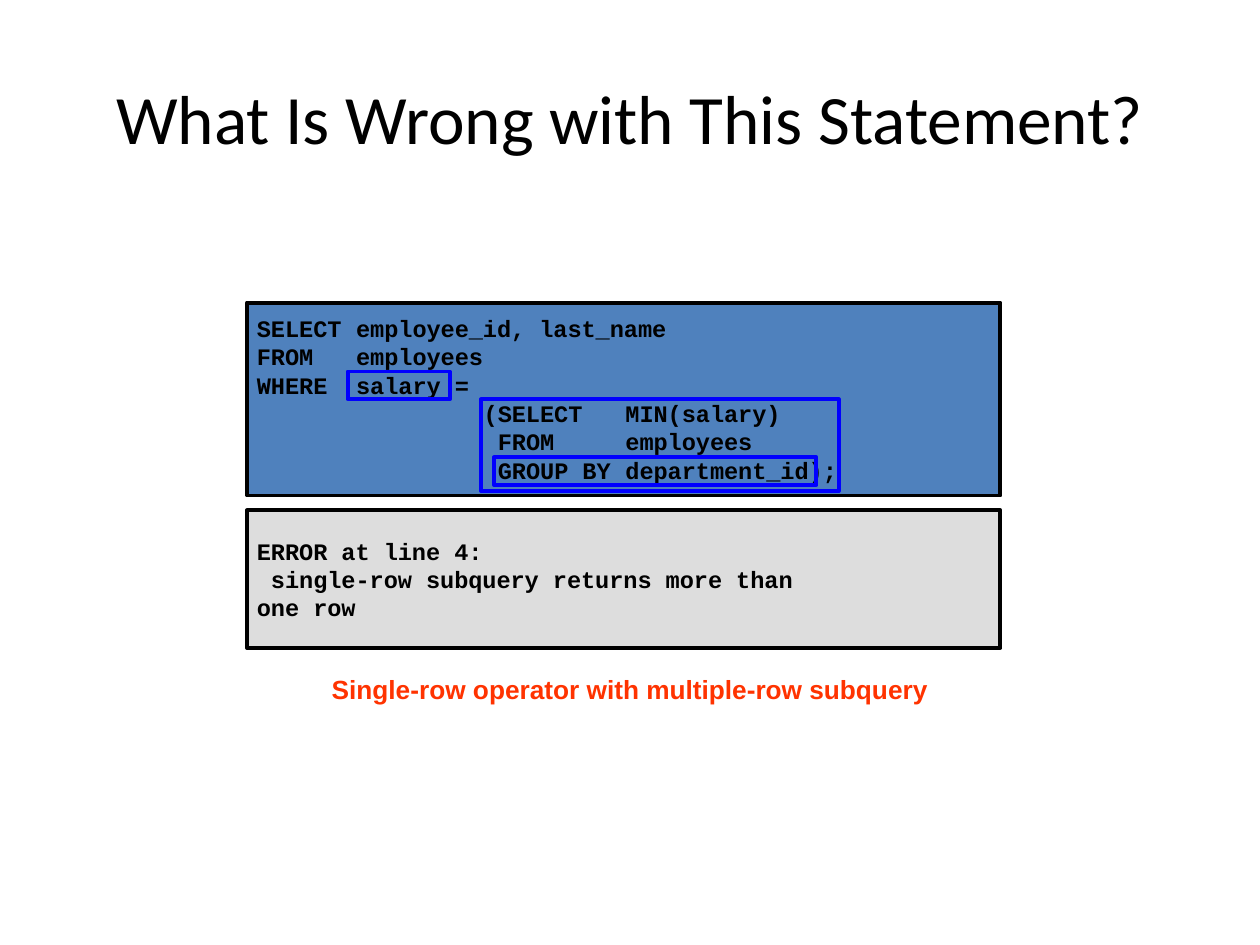
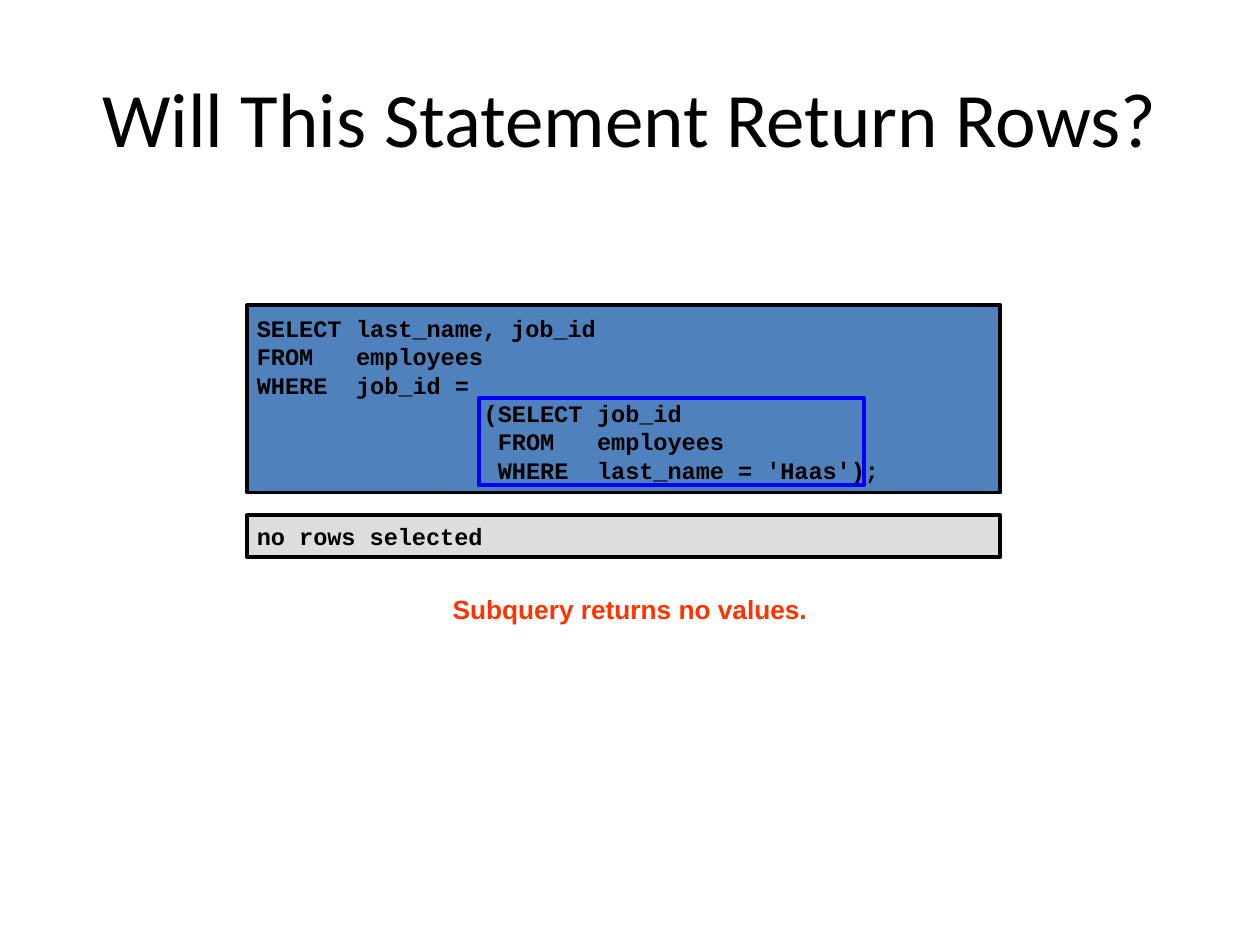
from dataclasses import dataclass

from lxml import etree
from pptx import Presentation
from pptx.dml.color import RGBColor
from pptx.enum.shapes import MSO_SHAPE
from pptx.enum.text import MSO_ANCHOR, PP_ALIGN
from pptx.oxml.ns import qn
from pptx.util import Cm, Pt

RECT = MSO_SHAPE.RECTANGLE
MIDDLE, TOP = MSO_ANCHOR.MIDDLE, MSO_ANCHOR.TOP
LEFT, CENTER = PP_ALIGN.LEFT, PP_ALIGN.CENTER


@dataclass(frozen=True)
class Theme:
    """Colours, fonts and sizes shared by the slides."""
    ink: RGBColor = RGBColor.from_string("000000")
    code_fill: RGBColor = RGBColor.from_string("4F81BD")
    result_fill: RGBColor = RGBColor.from_string("DDDDDD")
    highlight: RGBColor = RGBColor.from_string("0000FF")
    caption: RGBColor = RGBColor.from_string("FF3300")
    title_font: str = "Calibri"
    code_font: str = "Courier New"
    caption_font: str = "Arial"
    code_size: float = 13.5
    caption_size: float = 15
    line_width: float = 2.25


T = Theme()
SLIDE_W, SLIDE_H = 25.4, 19.05
PANEL_LEFT, PANEL_W = 4.98, 15.19
CAPTION_H = 0.89
CHAR_W = T.code_size * 0.6 / 72 * 2.54  # one monospaced character, in cm

# Boxes are (left, top, width, height) in cm. Each code line comes with its
# tab stops, counted in characters; a tab moves on to the next stop.
SLIDES = [
    {
        "title": "What Is Wrong with This Statement?",
        "title_size": 39.6,
        "code_top": 6.1, "code_height": 3.89,
        "code": [
            ("SELECT\temployee_id, last_name", [7]),
            ("FROM\temployees", [7]),
            ("WHERE\tsalary =", [7]),
            ("\t(SELECT\tMIN(salary)", [16, 26]),
            ("\tFROM\temployees", [17, 26]),
            ("\tGROUP BY\tdepartment_id);", [17, 26]),
        ],
        "result_top": 10.29, "result_height": 2.77,
        "result": [
            ("ERROR at line 4:", []),
            (" single-row subquery returns more than\vone row", []),
        ],
        "highlights": [
            (9.7, 8.05, 7.21, 1.85),
            (7.01, 7.49, 2.06, 0.56),
            (9.96, 9.22, 6.5, 0.56),
        ],
        "caption": "Single-row operator with multiple-row subquery",
        "caption_top": 13.44, "caption_width": 12.62,
    },
    {
        "title": "Will This Statement Return Rows?",
        "title_size": 44,
        "code_top": 6.15, "code_height": 3.78,
        "code": [
            ("SELECT\tlast_name, job_id", [7]),
            ("FROM\temployees", [7]),
            ("WHERE\tjob_id =", [7]),
            ("\t(SELECT\tjob_id", [16, 24]),
            ("\tFROM\temployees", [17, 24]),
            ("\tWHERE\tlast_name = 'Haas');", [17, 24]),
        ],
        "result_top": 10.39, "result_height": 0.84,
        "result": [("no rows selected", [])],
        "highlights": [(9.65, 8.03, 7.77, 1.75)],
        "caption": "Subquery returns no values.",
        "caption_top": 11.84, "caption_width": 7.72,
    },
]


def add_box(s, box, line, fill=None):
    """Add an outlined rectangle, filled only if a colour is given."""
    sp = s.shapes.add_shape(RECT, *map(Cm, box))
    sp.shadow.inherit = False
    sp.line.color.rgb = line
    sp.line.width = Pt(T.line_width)
    if fill is None:
        sp.fill.background()
    else:
        sp.fill.solid()
        sp.fill.fore_color.rgb = fill
    return sp


def write(sp, lines, font, size, color, bold, align, anchor, wrap=True):
    """Write (text, tab stops) lines as paragraphs in one style."""
    tf = sp.text_frame
    tf.word_wrap = wrap
    tf.vertical_anchor = anchor
    for i, (text, stops) in enumerate(lines):
        p = tf.paragraphs[0] if i == 0 else tf.add_paragraph()
        p.text = text
        p.alignment = align
        p.font.name, p.font.size, p.font.bold = font, Pt(size), bold
        p.font.color.rgb = color
        if stops:
            tab_list = etree.Element(qn("a:tabLst"))
            for stop in stops:
                etree.SubElement(tab_list, qn("a:tab"),
                                 pos=str(Cm(stop * CHAR_W)), algn="l")
            p._p.get_or_add_pPr().insert(0, tab_list)


prs = Presentation()
prs.slide_width, prs.slide_height = Cm(SLIDE_W), Cm(SLIDE_H)
blank = prs.slide_layouts[6]

for content in SLIDES:
    s = prs.slides.add_slide(blank)

    title = s.shapes.add_textbox(Cm(1.27), Cm(0.76), Cm(22.86), Cm(3.18))
    write(title, [(content["title"], [])], T.title_font, content["title_size"],
          T.ink, False, CENTER, MIDDLE)

    for part, fill in (("code", T.code_fill), ("result", T.result_fill)):
        box = (PANEL_LEFT, content[part + "_top"],
               PANEL_W, content[part + "_height"])
        panel = add_box(s, box, T.ink, fill)
        tf = panel.text_frame
        tf.margin_left = tf.margin_right = Cm(0.2)
        tf.margin_top = tf.margin_bottom = Cm(0.1)
        write(panel, content[part], T.code_font, T.code_size,
              T.ink, True, LEFT, MIDDLE)

    for box in content["highlights"]:
        add_box(s, box, T.highlight)

    width = content["caption_width"]
    caption = s.shapes.add_textbox(Cm((SLIDE_W - width) / 2),
                                   Cm(content["caption_top"]),
                                   Cm(width), Cm(CAPTION_H))
    write(caption, [(content["caption"], [])], T.caption_font, T.caption_size,
          T.caption, True, CENTER, TOP, wrap=False)

prs.save("out.pptx")
